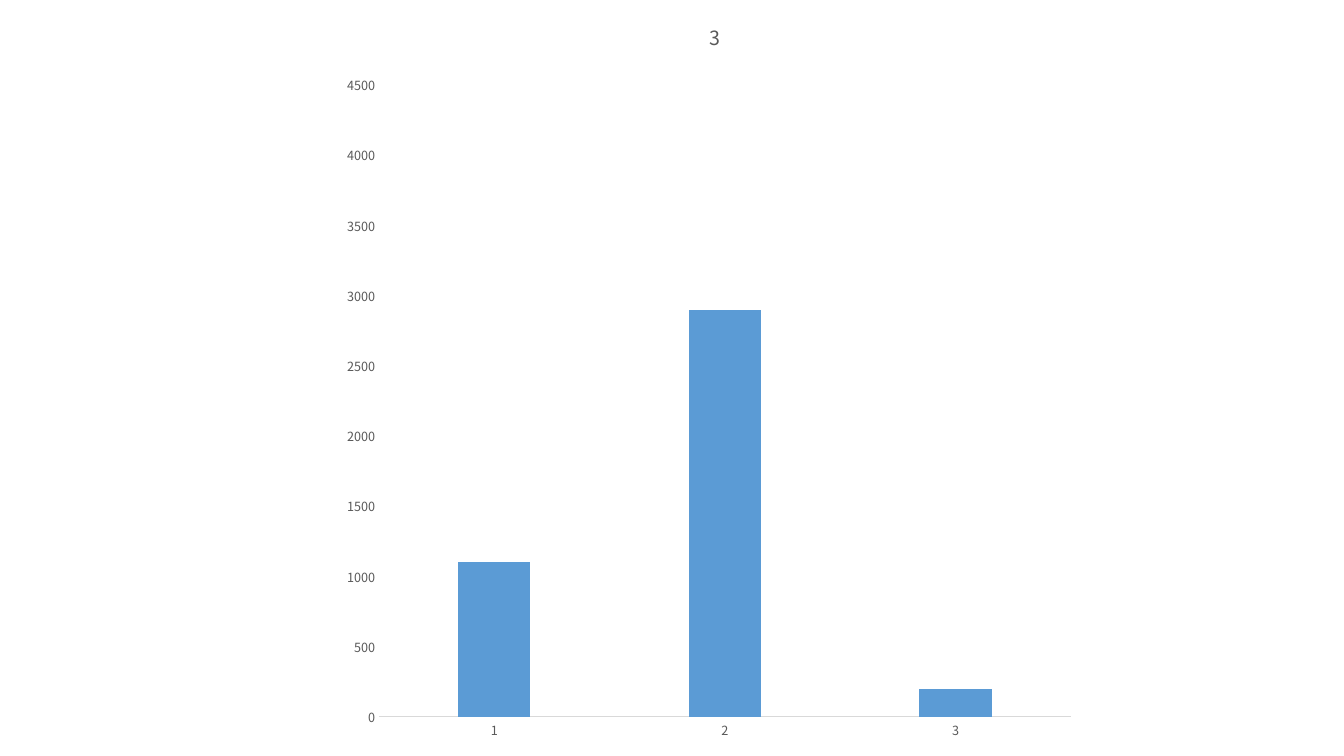
from dataclasses import dataclass

from lxml.etree import SubElement as Sub, Element as Elem
from pptx import Presentation as Deck
from pptx.chart.data import CategoryChartData as Data
from pptx.dml.color import RGBColor as RGB
from pptx.enum.chart import XL_CHART_TYPE as Kind, XL_TICK_MARK as Tick
from pptx.oxml.ns import qn
from pptx.util import Emu, Pt

SCALE = 914400 / 100.8  # EMU in one px


def px(n):
    return Emu(round(n * SCALE))


@dataclass
class Theme:
    face: str = "Noto Sans CJK JP"
    bar: str = "5B9BD5"
    text: str = "595959"
    rule: str = "D9D9D9"
    title: float = 14
    label: float = 9


def style(font, theme, size):
    font.name = theme.face
    font.size = Pt(size)
    font.bold = False
    font.color.rgb = RGB.from_string(theme.text)


def write(frame, text, theme, size):
    run = frame.paragraphs[0].add_run()
    run.text = text
    style(run.font, theme, size)


def place(node, spot, inner=False, **parts):
    """Give a chart part a fixed place, in fractions of the chart."""
    for old in node.findall(qn("c:layout")):
        node.remove(old)
    box = Elem(qn("c:layout"))
    node.insert(spot, box)
    lay = Sub(box, qn("c:manualLayout"))
    if inner:
        Sub(lay, qn("c:layoutTarget"), val="inner")
    for key in "xy":
        Sub(lay, qn(f"c:{key}Mode"), val="edge")
    for key, val in parts.items():
        Sub(lay, qn(f"c:{key}"), val=f"{val:.4f}")


class Page:
    def __init__(self, deck, theme):
        self.theme = theme
        self.slide = deck.slides.add_slide(deck.slide_layouts[6])

    def bars(self, left, top, side, cats, vals, peak, step):
        data = Data()
        data.categories = cats
        data.add_series("Series 1", vals)
        frame = self.slide.shapes.add_chart(
            Kind.COLUMN_CLUSTERED, px(left), px(top), px(side), px(side), data)
        chart = frame.chart
        style(chart.font, self.theme, self.theme.label)
        chart.has_legend = False

        # Columns
        plot = chart.plots[0]
        plot.gap_width, plot.overlap = 219, -27
        plot.vary_by_categories = False
        fill = plot.series[0].format.fill
        fill.solid()
        fill.fore_color.rgb = RGB.from_string(self.theme.bar)

        # Axes
        for axis in (chart.category_axis, chart.value_axis):
            axis.has_major_gridlines = False
            axis.major_tick_mark = axis.minor_tick_mark = Tick.NONE
            style(axis.tick_labels.font, self.theme, self.theme.label)
        line = chart.category_axis.format.line
        line.color.rgb = RGB.from_string(self.theme.rule)
        line.width = Pt(0.75)
        scale = chart.value_axis
        scale.format.line.fill.background()
        scale.minimum_scale, scale.maximum_scale = 0, peak
        scale.major_unit = step
        return chart

    def title(self, chart, text):
        chart.has_title = True
        write(chart.chart_title.text_frame, text, self.theme, self.theme.title)


def main():
    deck = Deck()
    deck.slide_width, deck.slide_height = px(1344), px(756)
    page = Page(deck, Theme())

    # Chart and its heading
    left, side = 333, 754
    chart = page.bars(left, 0, side, ["1", "2", "3"], [1100, 2900, 200],
                      peak=4500, step=500)
    page.title(chart, "3")

    # Places of the heading and the plot
    place(chart.chart_title._element, 1, x=(706 - left) / side, y=17 / side)
    area = chart._chartSpace.chart.plotArea
    place(area, 0, inner=True, x=(379 - left) / side, y=85 / side,
          w=692 / side, h=632 / side)

    deck.save("out.pptx")


if __name__ == "__main__":
    main()
